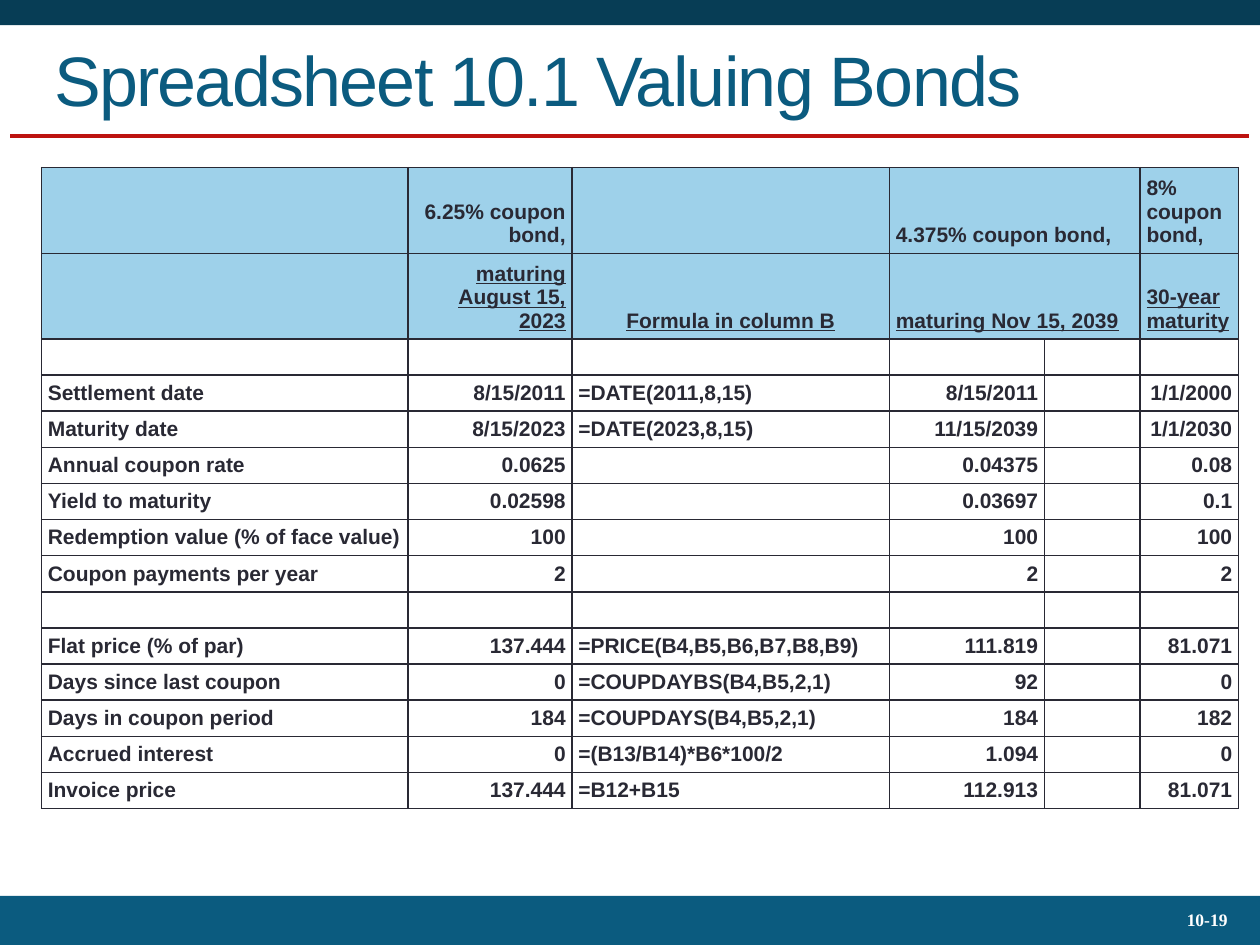
from pptx import Presentation
from pptx.dml.color import RGBColor
from pptx.enum.shapes import MSO_CONNECTOR, MSO_SHAPE
from pptx.enum.text import MSO_ANCHOR, MSO_AUTO_SIZE, PP_ALIGN
from pptx.oxml import parse_xml
from pptx.oxml.ns import nsdecls
from pptx.oxml.xmlchemy import OxmlElement
from pptx.util import Inches, Pt

LEFT, CENTER, RIGHT = PP_ALIGN.LEFT, PP_ALIGN.CENTER, PP_ALIGN.RIGHT
MIDDLE, BOTTOM = MSO_ANCHOR.MIDDLE, MSO_ANCHOR.BOTTOM
RECTANGLE, STRAIGHT = MSO_SHAPE.RECTANGLE, MSO_CONNECTOR.STRAIGHT
NO_AUTOFIT = MSO_AUTO_SIZE.NONE

NAVY = RGBColor(0x07, 0x3D, 0x55)
TEAL = RGBColor(0x0B, 0x5B, 0x7F)
RED = RGBColor(0xBD, 0x13, 0x0F)
SKY = RGBColor(0x9E, 0xD1, 0xEA)
INK = RGBColor(0x29, 0x29, 0x34)
WHITE = RGBColor(0xFF, 0xFF, 0xFF)

COLUMN_WIDTHS = [2.91, 1.3, 2.52, 1.23, 0.76, 0.78]
COLUMN_ALIGNMENTS = [LEFT, RIGHT, LEFT, RIGHT, RIGHT, RIGHT]
HEADER_ALIGNMENTS = [LEFT, RIGHT, CENTER, LEFT, LEFT, LEFT]
HEADER_ROWS = 2
HEADER_HEIGHT, TABLE_HEIGHT = 0.66, 5.05
BLANK_ROW = [""] * len(COLUMN_WIDTHS)
BOND_ROWS = [
    ["", "6.25% coupon bond,", "", "4.375% coupon bond,", "", "8% coupon bond,"],
    ["", "maturing August 15, 2023", "Formula in column B",
     "maturing Nov 15, 2039", "", "30-year maturity"],
    BLANK_ROW,
    ["Settlement date", "8/15/2011", "=DATE(2011,8,15)", "8/15/2011", "", "1/1/2000"],
    ["Maturity date", "8/15/2023", "=DATE(2023,8,15)", "11/15/2039", "", "1/1/2030"],
    ["Annual coupon rate", "0.0625", "", "0.04375", "", "0.08"],
    ["Yield to maturity", "0.02598", "", "0.03697", "", "0.1"],
    ["Redemption value (% of face value)", "100", "", "100", "", "100"],
    ["Coupon payments per year", "2", "", "2", "", "2"],
    BLANK_ROW,
    ["Flat price (% of par)", "137.444", "=PRICE(B4,B5,B6,B7,B8,B9)", "111.819", "", "81.071"],
    ["Days since last coupon", "0", "=COUPDAYBS(B4,B5,2,1)", "92", "", "0"],
    ["Days in coupon period", "184", "=COUPDAYS(B4,B5,2,1)", "184", "", "182"],
    ["Accrued interest", "0", "=(B13/B14)*B6*100/2", "1.094", "", "0"],
    ["Invoice price", "137.444", "=B12+B15", "112.913", "", "81.071"],
]


class BondSlide:
    """Hold the style and the current slide, with a method for each element."""

    heading_font = "Arial"
    number_font = "Times New Roman"
    cell_margin = Inches(0.05)
    cell_top_margin = Inches(0.03)

    def __init__(self, slide):
        self.slide = slide

    def style(self, paragraph, font_name, size, color, align, bold=False):
        paragraph.alignment = align
        font = paragraph.font
        font.name, font.size, font.bold = font_name, Pt(size), bold
        font.color.rgb = color

    def band(self, top, height, color):
        band = self.slide.shapes.add_shape(
            RECTANGLE, 0, Inches(top), Inches(10), Inches(height))
        band.shadow.inherit = False
        band.fill.solid()
        band.fill.fore_color.rgb = color
        band.line.fill.background()

    def rule(self, left, right, y):
        rule = self.slide.shapes.add_connector(
            STRAIGHT, Inches(left), Inches(y), Inches(right), Inches(y))
        rule.line.color.rgb = RED
        rule.line.width = Pt(2.25)
        rule._element.spPr.append(OxmlElement("a:effectLst"))

    def title(self, text):
        title = self.slide.shapes.title
        title.left, title.top = Inches(0.33), Inches(0.17)
        title.width, title.height = Inches(9.35), Inches(0.91)
        frame = title.text_frame
        frame.text = text
        frame.auto_size = NO_AUTOFIT
        frame.vertical_anchor = MIDDLE
        self.style(frame.paragraphs[0], self.heading_font, 40, TEAL, LEFT)
        frame.paragraphs[0].runs[0].font._element.set("spc", "-100")

    def page_number(self, text):
        number = self.slide.shapes.add_textbox(
            Inches(8.67), Inches(7.13), Inches(1.17), Inches(0.36))
        frame = number.text_frame
        frame.word_wrap = True
        frame.vertical_anchor = MIDDLE
        frame.text = text
        self.style(frame.paragraphs[0], self.number_font, 10, WHITE, RIGHT, True)
        frame.paragraphs[0].line_spacing = 0.93

    def borders(self, cell):
        properties = cell._tc.get_or_add_tcPr()
        for position, side in enumerate(("lnL", "lnR", "lnT", "lnB")):
            properties.insert(position, parse_xml(
                f'<a:{side} {nsdecls("a")} w="{Pt(1)}"><a:solidFill>'
                f'<a:srgbClr val="{INK}"/></a:solidFill></a:{side}>'))

    def cell(self, cell, text, align, is_header, underlined):
        cell.margin_left = cell.margin_right = cell.margin_bottom = self.cell_margin
        cell.margin_top = self.cell_top_margin
        cell.vertical_anchor = BOTTOM
        if is_header:
            cell.fill.solid()
            cell.fill.fore_color.rgb = SKY
        else:
            cell.fill.background()
        self.borders(cell)
        cell.text = text
        paragraph = cell.text_frame.paragraphs[0]
        self.style(paragraph, self.heading_font, 12, INK, align, True)
        for run in paragraph.runs:
            run.font.underline = underlined

    def table(self, rows):
        body_rows = len(rows) - HEADER_ROWS
        body_height = (TABLE_HEIGHT - HEADER_ROWS * HEADER_HEIGHT) / body_rows
        heights = [HEADER_HEIGHT] * HEADER_ROWS + [body_height] * body_rows
        bonds = self.slide.shapes.add_table(
            len(rows), len(COLUMN_WIDTHS), Inches(0.33), Inches(1.33),
            Inches(sum(COLUMN_WIDTHS)), Inches(TABLE_HEIGHT)).table
        bonds.first_row = bonds.horz_banding = False
        for column, width in zip(bonds.columns, COLUMN_WIDTHS):
            column.width = Inches(width)
        for r, (values, height) in enumerate(zip(rows, heights)):
            bonds.rows[r].height = Inches(height)
            is_header = r < HEADER_ROWS
            alignments = HEADER_ALIGNMENTS if is_header else COLUMN_ALIGNMENTS
            for c, (value, align) in enumerate(zip(values, alignments)):
                self.cell(bonds.cell(r, c), value, align, is_header, r == HEADER_ROWS - 1)
            if is_header:
                bonds.cell(r, 3).merge(bonds.cell(r, 4))


def main():
    presentation = Presentation()
    presentation.slide_width, presentation.slide_height = Inches(10), Inches(7.5)
    page = BondSlide(presentation.slides.add_slide(presentation.slide_layouts[5]))
    page.band(0, 0.2, NAVY)
    page.rule(0.08, 9.91, 1.08)
    page.band(7.11, 0.39, TEAL)
    page.page_number("10-19")
    page.title("Spreadsheet 10.1 Valuing Bonds")
    page.table(BOND_ROWS)
    presentation.save("out.pptx")


if __name__ == "__main__":
    main()
